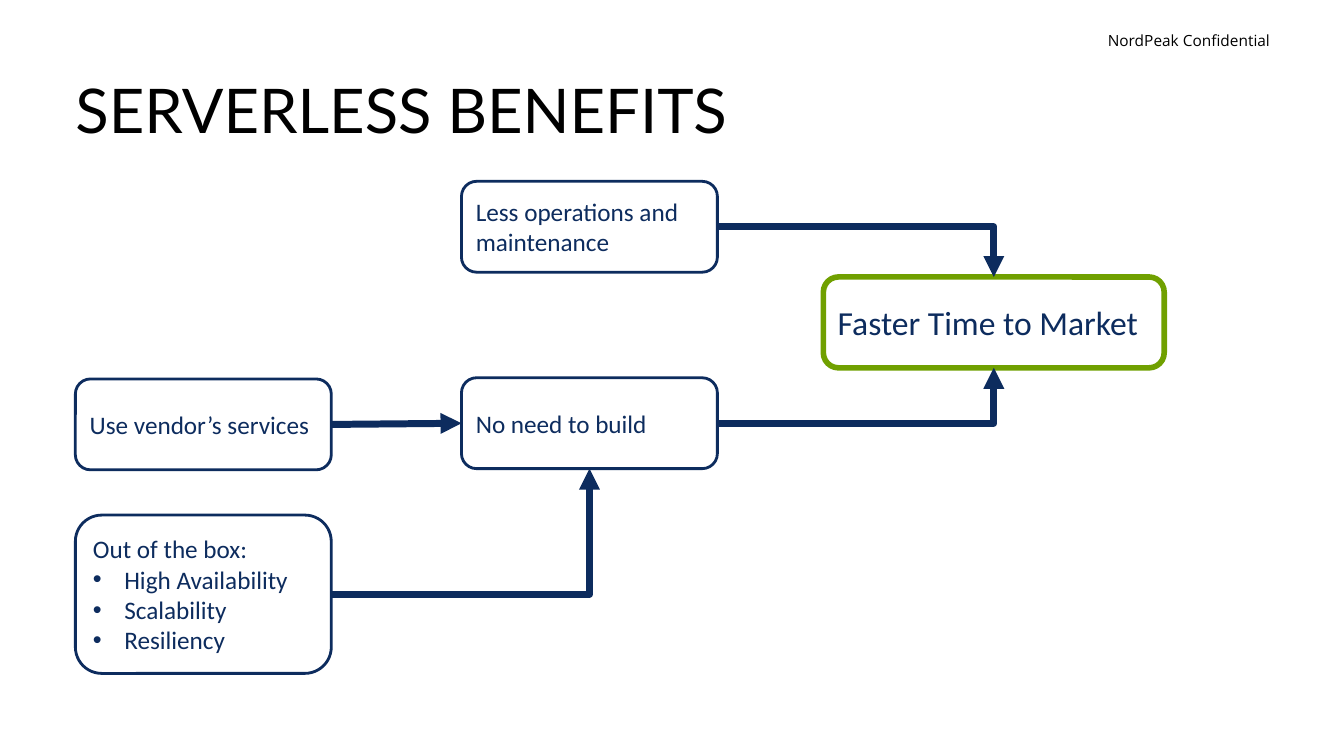
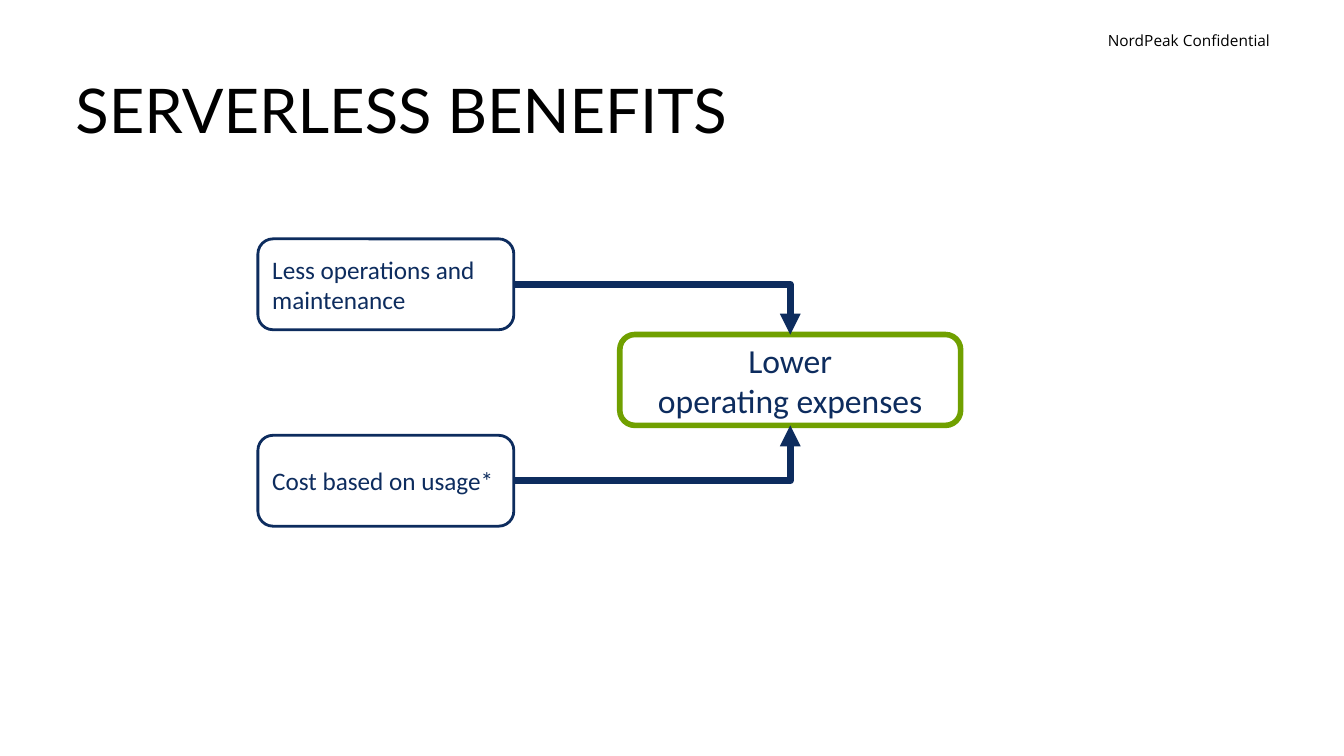
from lxml import etree
from pptx import Presentation
from pptx.dml.color import RGBColor
from pptx.enum.shapes import MSO_CONNECTOR as Link, MSO_SHAPE as Shape
from pptx.enum.text import MSO_ANCHOR as Anchor, MSO_AUTO_SIZE as AutoSize, PP_ALIGN as Align
from pptx.oxml.ns import qn
from pptx.util import Cm, Pt

# Shared look
NAVY, GREEN, BLACK = "0D2C5E", "70A000", "000000"
TITLE_FONT, LABEL_FONT, BODY_FONT = "Lato", "Open Sans", "Calibri"
MARGIN = 1.9
BOX_WIDTH, BOX_HEIGHT, GOAL_WIDTH = 6.45, 2.29, 8.59
TOP, LEFT, BOTTOM, RIGHT = range(4)


def color(hex_code):
    return RGBColor.from_string(hex_code)


def add_run(paragraph, text, size, font, hex_code):
    run = paragraph.add_run()
    run.text = text
    run.font.size, run.font.name = Pt(size), font
    run.font.color.rgb = color(hex_code)


def add_bullet(paragraph, indent=0.79):
    props = paragraph._p.get_or_add_pPr()
    props.set("marL", str(Cm(indent)))
    props.set("indent", str(-Cm(indent)))
    etree.SubElement(props, qn("a:buFont")).set("typeface", "Arial")
    etree.SubElement(props, qn("a:buChar")).set("char", "•")


def add_box(slide, left, top, lines, bullets=(), width=BOX_WIDTH, height=BOX_HEIGHT,
            border=NAVY, weight=2, size=18, align=Align.LEFT):
    """Rounded outline box with plain lines, then bulleted ones."""
    box = slide.shapes.add_shape(Shape.ROUNDED_RECTANGLE, Cm(left), Cm(top), Cm(width), Cm(height))
    box.shadow.inherit = False
    box.fill.background()
    box.line.color.rgb, box.line.width = color(border), Pt(weight)
    frame = box.text_frame
    frame.word_wrap, frame.vertical_anchor = True, Anchor.MIDDLE
    for i, text in enumerate([*lines, *bullets]):
        paragraph = frame.add_paragraph() if i else frame.paragraphs[0]
        paragraph.alignment = align
        if i >= len(lines):
            add_bullet(paragraph)
        add_run(paragraph, text, size, BODY_FONT, NAVY)
    return box


def add_arrow(slide, source, target, target_side):
    """Arrow from the right of source: straight to a left side, else with one bend."""
    straight = target_side == LEFT
    arrow = slide.shapes.add_connector(Link.STRAIGHT if straight else Link.ELBOW, 0, 0, 0, 0)
    arrow.begin_connect(source, RIGHT)
    arrow.end_connect(target, target_side)
    arrow.line.color.rgb, arrow.line.width = color(NAVY), Pt(5)
    props = arrow._element.spPr
    if not straight:
        props.find(qn("a:prstGeom")).set("prst", "bentConnector2")
    etree.SubElement(props.find(qn("a:ln")), qn("a:tailEnd")).set("type", "triangle")
    etree.SubElement(props, qn("a:effectLst"))


def add_goal(slide, left, top, cause_lines, goal_lines, goal_align=Align.LEFT):
    """Two stacked causes that both lead to a goal; returns the lower cause."""
    upper = add_box(slide, left, top, ["Less operations and maintenance"])
    lower = add_box(slide, left, top + 4.95, cause_lines)
    goal = add_box(slide, left + 9.12, top + 2.41, goal_lines, width=GOAL_WIDTH,
                   border=GREEN, weight=4, size=24, align=goal_align)
    add_arrow(slide, upper, goal, TOP)
    add_arrow(slide, lower, goal, BOTTOM)
    return lower


def add_titled_slide(prs, layout, text):
    slide = prs.slides.add_slide(layout)
    title = slide.shapes.title
    title.left, title.top, title.width, title.height = Cm(MARGIN), Cm(1.9), Cm(30.05), Cm(1.9)
    frame = title.text_frame
    frame.margin_left, frame.vertical_anchor = 0, Anchor.TOP
    frame.word_wrap, frame.auto_size = True, AutoSize.NONE
    paragraph = frame.paragraphs[0]
    paragraph.alignment, paragraph.line_spacing = Align.LEFT, 0.9
    add_run(paragraph, text, 44, TITLE_FONT, BLACK)
    return slide


def add_layout_label(slide, layout, text):
    """Build the label on a slide, then move it to the layout all slides share."""
    label = slide.shapes.add_textbox(Cm(26.37), Cm(0.66), Cm(5.89), Cm(0.74))
    label.text_frame.word_wrap = True
    paragraph = label.text_frame.paragraphs[0]
    paragraph.alignment = Align.RIGHT
    add_run(paragraph, text, 11, LABEL_FONT, BLACK)
    label.element.nvSpPr.cNvPr.set("id", "20")
    layout.shapes.element.append(label.element)


def main():
    prs = Presentation()
    prs.slide_width, prs.slide_height = Cm(33.87), Cm(19.05)
    title_only = prs.slide_layouts[5]

    # Time to market
    market = add_titled_slide(prs, title_only, "SERVERLESS BENEFITS")
    add_layout_label(market, title_only, "NordPeak Confidential")
    no_build = add_goal(market, 11.63, 4.57, ["No need to build"], ["Faster Time to Market"])
    vendor = add_box(market, MARGIN, 9.55, ["Use vendor’s services"])
    built_in = add_box(market, MARGIN, 12.98, ["Out of the box:"],
                       ["High Availability", "Scalability", "Resiliency"], height=3.99)
    add_arrow(market, vendor, no_build, LEFT)
    add_arrow(market, built_in, no_build, BOTTOM)

    # Operating expenses
    expenses = add_titled_slide(prs, title_only, "SERVERLESS BENEFITS")
    add_goal(expenses, 6.5, 6.02, ["Cost based on usage*"],
             ["Lower", "operating expenses"], Align.CENTER)

    prs.save("out.pptx")


if __name__ == "__main__":
    main()
